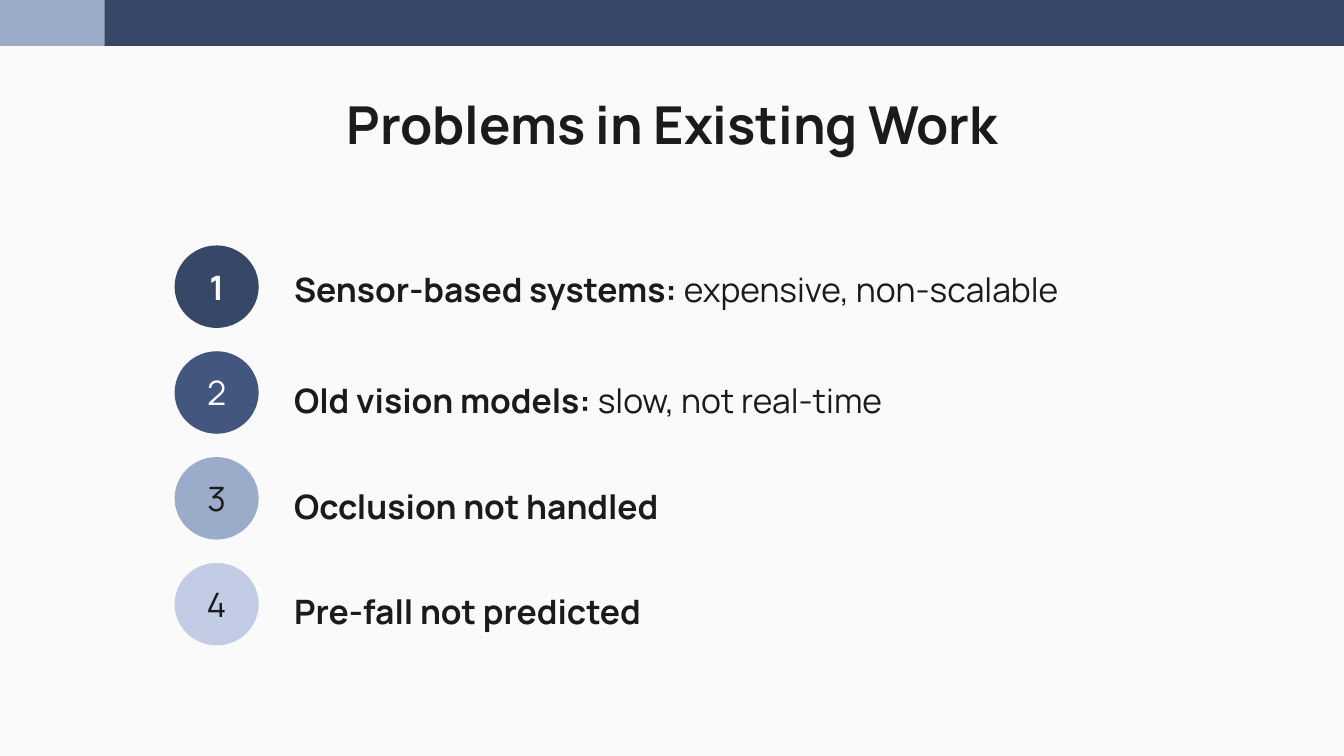
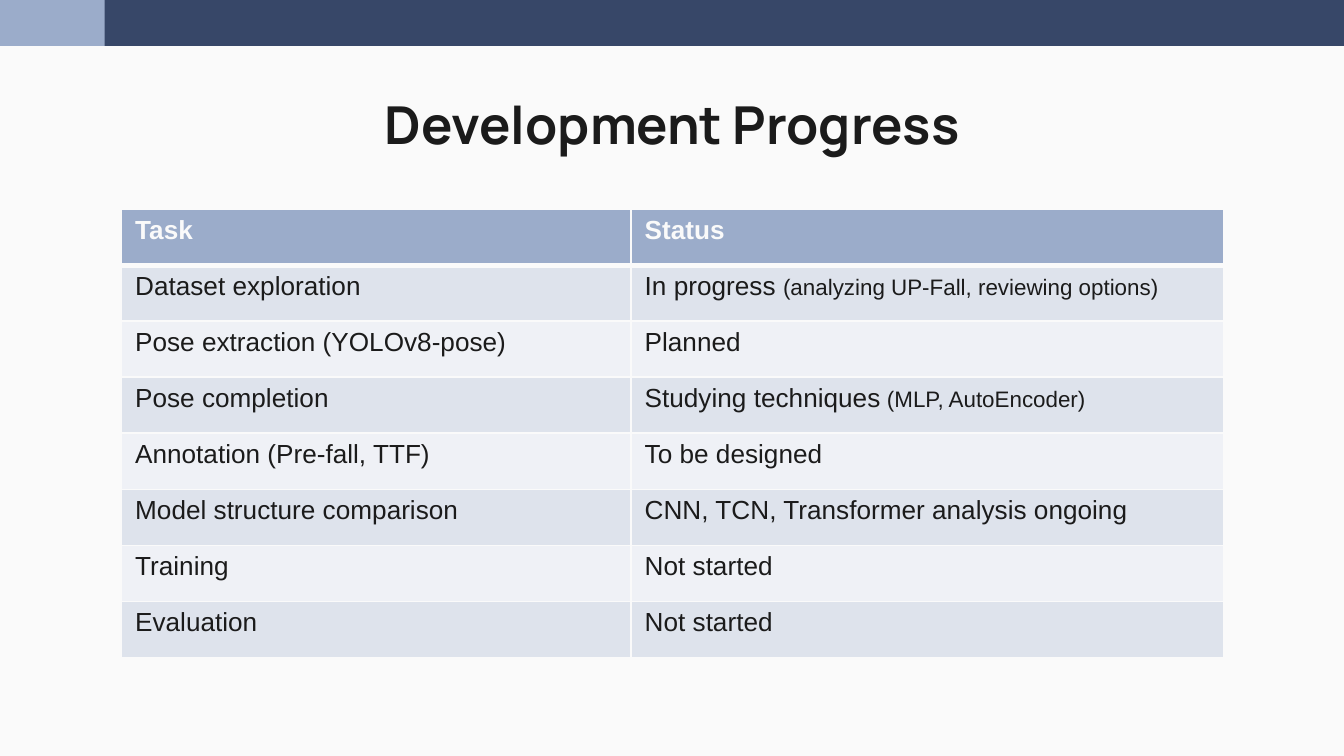
from lxml import etree
from pptx import Presentation
from pptx.dml.color import RGBColor
from pptx.enum.shapes import MSO_SHAPE
from pptx.enum.text import MSO_ANCHOR, MSO_AUTO_SIZE, PP_ALIGN
from pptx.oxml.ns import qn
from pptx.util import Cm, Pt

RECT, OVAL = MSO_SHAPE.RECTANGLE, MSO_SHAPE.OVAL
TOP, MIDDLE, BOTTOM = MSO_ANCHOR.TOP, MSO_ANCHOR.MIDDLE, MSO_ANCHOR.BOTTOM
LEFT, CENTER = PP_ALIGN.LEFT, PP_ALIGN.CENTER
NO_FIT = MSO_AUTO_SIZE.NONE

PAPER = RGBColor(0xFA, 0xFA, 0xFA)
INK = RGBColor(0x1B, 0x1B, 0x1B)
NAVY = RGBColor(0x37, 0x47, 0x68)
BLUE = RGBColor(0x43, 0x56, 0x7F)
STEEL = RGBColor(0x9B, 0xAC, 0xCA)
PALE = RGBColor(0xC2, 0xCD, 0xE5)
ROW_DARK = RGBColor(0xDE, 0xE3, 0xEC)
ROW_LIGHT = RGBColor(0xEF, 0xF1, 0xF6)

TITLE = dict(name="Manrope", size=Pt(28), bold=True, color=INK)
STRONG = dict(name="Manrope", size=Pt(18), bold=True, color=INK)
PLAIN = dict(STRONG, bold=False)
HEAD = dict(name="Arial", size=Pt(14), bold=True, color=PAPER)
BODY = dict(HEAD, bold=False, color=INK)
NOTE = dict(BODY, size=Pt(12))

PROBLEMS_TITLE = "Problems in Existing Work"
PROBLEMS = [
    ("Sensor-based systems:", " expensive, non-scalable", NAVY, dict(STRONG, color=PAPER), 0.21),
    ("Old vision models: ", "slow, not real-time", BLUE, dict(PLAIN, color=PAPER), 0.32),
    ("Occlusion not handled", "", STEEL, PLAIN, 0.31),
    ("Pre-fall not predicted", "", PALE, PLAIN, 0.31),
]

PROGRESS_TITLE = "Development Progress"
PROGRESS = [
    ("Task", "Status", ""),
    ("Dataset exploration", "In progress ", "(analyzing UP-Fall, reviewing options)"),
    ("Pose extraction (YOLOv8-pose)", "Planned", ""),
    ("Pose completion", "Studying techniques", " (MLP, AutoEncoder)"),
    ("Annotation (Pre-fall, TTF)", "To be designed", ""),
    ("Model structure comparison", "CNN, TCN, Transformer analysis ongoing", ""),
    ("Training", "Not started", ""),
    ("Evaluation", "Not started", ""),
]

BAND_H = 0.87
BANDS = [(25.4, NAVY), (1.98, STEEL)]
CIRCLE_X, CIRCLE_Y, CIRCLE_W, CIRCLE_H, STEP = 3.3, 4.64, 1.59, 1.56, 2.0
LABEL_X, LABEL_W, LABEL_H = 5.31, 16.43, 1.24
TABLE_X, TABLE_Y, ROW_H = 2.3, 3.95, 1.06
COL_WIDTHS = (9.63, 11.2)


def write(tf, runs, align=LEFT):
    p = tf.paragraphs[0]
    p.alignment = align
    for text, style in runs:
        if not text:
            continue
        r = p.add_run()
        r.text = text
        for key, value in style.items():
            if key == "color":
                r.font.color.rgb = value
            else:
                setattr(r.font, key, value)


def set_frame(tf, anchor, side, edge):
    values = dict(word_wrap=True, auto_size=NO_FIT, vertical_anchor=anchor,
                  margin_left=side, margin_right=side,
                  margin_top=edge, margin_bottom=edge)
    for key, value in values.items():
        setattr(tf, key, value)


def add_filled(s, kind, x, y, w, h, color):
    sp = s.shapes.add_shape(kind, Cm(x), Cm(y), Cm(w), Cm(h))
    sp.shadow.inherit = False
    sp.fill.solid()
    sp.fill.fore_color.rgb = color
    sp.line.fill.background()
    return sp


def add_slide(prs, layout, title):
    s = prs.slides.add_slide(layout)
    sp = s.shapes.title
    sp.left, sp.top, sp.width, sp.height = Cm(2), Cm(1.5), Cm(21.4), Cm(1.6)
    set_frame(sp.text_frame, TOP, Cm(0.25), Cm(0.25))
    write(sp.text_frame, [(title, TITLE)], CENTER)
    return s


def add_bands(s, layout):
    for i, (width, color) in enumerate(BANDS):
        band = add_filled(s, RECT, 0, 0, width, BAND_H, color)
        layout.shapes._spTree.insert(2 + i, band._element)


def add_problems(s):
    for i, (name, detail, color, number_style, drop) in enumerate(PROBLEMS):
        y = CIRCLE_Y + i * STEP
        sp = add_filled(s, OVAL, CIRCLE_X, y, CIRCLE_W, CIRCLE_H, color)
        set_frame(sp.text_frame, MIDDLE, Cm(0.25), Cm(0.13))
        write(sp.text_frame, [(str(i + 1), number_style)], CENTER)
        label = s.shapes.add_textbox(Cm(LABEL_X), Cm(y + drop), Cm(LABEL_W), Cm(LABEL_H))
        set_frame(label.text_frame, BOTTOM, Cm(0.25), Cm(0.25))
        write(label.text_frame, [(name, STRONG), (detail, PLAIN)])


def set_borders(cell, widths):
    tc_pr = cell._tc.get_or_add_tcPr()
    for side, width in widths.items():
        ln = etree.SubElement(tc_pr, qn("a:ln" + side), w=str(Pt(width)))
        fill = etree.SubElement(ln, qn("a:solidFill"))
        etree.SubElement(fill, qn("a:srgbClr"), val=str(PAPER))


def add_progress(s):
    rows = len(PROGRESS)
    table = s.shapes.add_table(rows, len(COL_WIDTHS), Cm(TABLE_X), Cm(TABLE_Y),
                               Cm(sum(COL_WIDTHS)), Cm(ROW_H * rows)).table
    for column, width in zip(table.columns, COL_WIDTHS):
        column.width = Cm(width)
    for i, (task, status, note) in enumerate(PROGRESS):
        table.rows[i].height = Cm(ROW_H)
        style = BODY if i else HEAD
        color = (ROW_DARK if i % 2 else ROW_LIGHT) if i else STEEL
        widths = dict(L=1, R=1, T=3 if i == 1 else 1, B=1 if i else 3)
        for j, runs in enumerate(([(task, style)], [(status, style), (note, NOTE)])):
            cell = table.cell(i, j)
            set_borders(cell, widths)
            cell.fill.solid()
            cell.fill.fore_color.rgb = color
            write(cell.text_frame, runs)


def main():
    prs = Presentation()
    prs.slide_width, prs.slide_height = Cm(25.4), Cm(14.29)
    background = prs.slide_master.background.fill
    background.solid()
    background.fore_color.rgb = PAPER
    layout = prs.slide_layouts[5]

    s = add_slide(prs, layout, PROBLEMS_TITLE)
    add_bands(s, layout)
    add_problems(s)
    add_progress(add_slide(prs, layout, PROGRESS_TITLE))
    prs.save("out.pptx")


if __name__ == "__main__":
    main()
